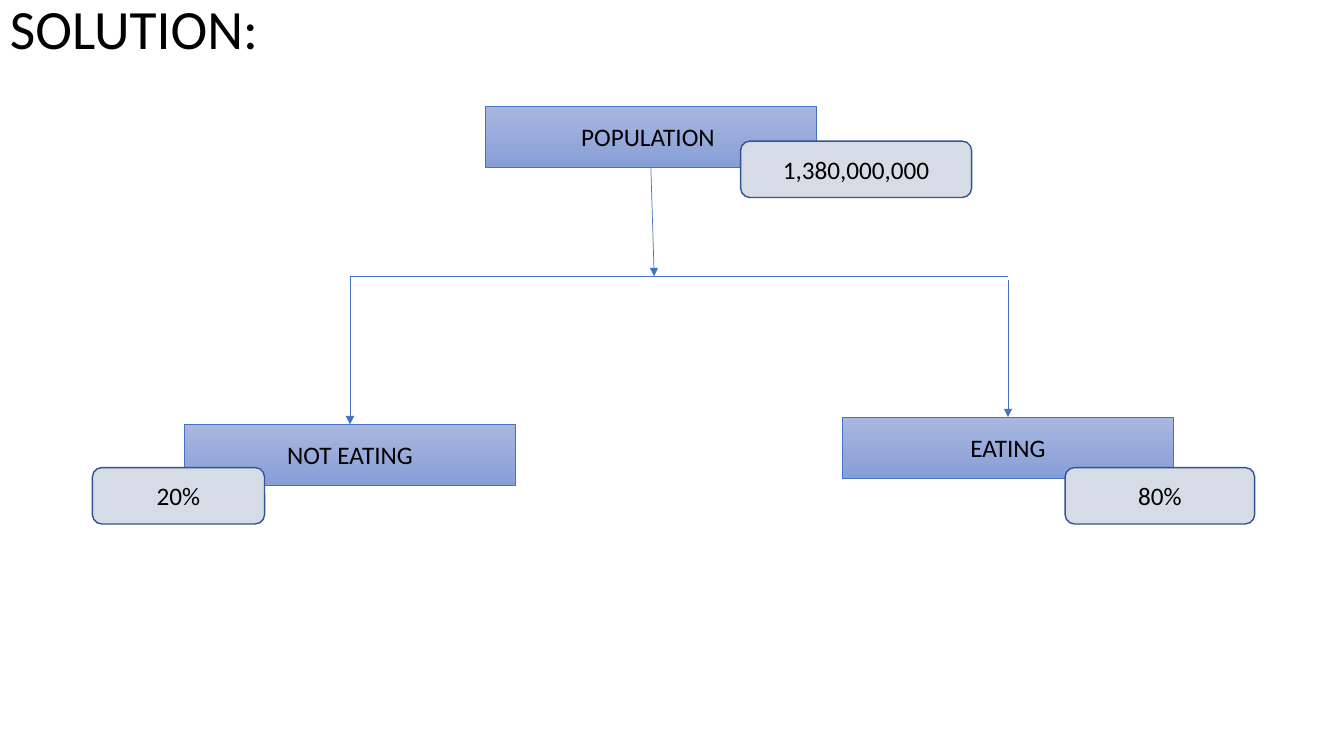
from pptx import Presentation
from pptx.dml.color import RGBColor
from pptx.enum.shapes import MSO_CONNECTOR, MSO_SHAPE
from pptx.enum.text import MSO_ANCHOR as Anchor, PP_ALIGN as Align
from pptx.oxml.ns import qn
from pptx.util import Pt
from lxml.etree import SubElement

BLACK = RGBColor(0x00, 0x00, 0x00)
BLUE = RGBColor(0x44, 0x72, 0xC4)
NAVY = RGBColor(0x32, 0x54, 0x91)
PALE = RGBColor(0xD6, 0xDC, 0xE5)
TOP = RGBColor(0xA8, 0xB7, 0xDF)
BASE = RGBColor(0x88, 0x9E, 0xD7)

NODE_W, NODE_H = 236.9, 43.4
TAG_H = 40.3
BAR_Y = 197.3


def write(shape, text, size, align):
    frame = shape.text_frame
    frame.word_wrap = True
    frame.vertical_anchor = Anchor.MIDDLE
    para = frame.paragraphs[0]
    para.text = text
    para.alignment = align
    font = para.font
    font.name, font.size = "Calibri", Pt(size)
    font.color.rgb = BLACK
    return para


def add_title(slide, text):
    box = slide.shapes.add_textbox(Pt(0), Pt(10), Pt(828), Pt(25.2))
    write(box, text, 39.6, Align.LEFT).line_spacing = 0.9


def add_box(slide, kind, text, x, y, w, h, edge, width):
    box = slide.shapes.add_shape(kind, Pt(x), Pt(y), Pt(w), Pt(h))
    box.shadow.inherit = False
    box.line.color.rgb = edge
    box.line.width = Pt(width)
    write(box, text, 18, Align.CENTER)
    return box


def add_node(slide, text, mid, y):
    """Add a gradient box centred on mid."""
    node = add_box(slide, MSO_SHAPE.RECTANGLE, text, mid - NODE_W / 2, y,
                   NODE_W, NODE_H, BLUE, 0.5)
    node.fill.gradient()
    node.fill.gradient_angle = 270
    for stop, color in zip(node.fill.gradient_stops, (TOP, BASE)):
        stop.color.rgb = color


def add_tag(slide, text, x, y, w):
    tag = add_box(slide, MSO_SHAPE.ROUNDED_RECTANGLE, text, x, y,
                  w, TAG_H, NAVY, 1)
    tag.fill.solid()
    tag.fill.fore_color.rgb = PALE


def add_line(slide, x1, y1, x2, y2, arrow=True):
    line = slide.shapes.add_connector(
        MSO_CONNECTOR.STRAIGHT, Pt(x1), Pt(y1), Pt(x2), Pt(y2))
    line.line.color.rgb = BLUE
    line.line.width = Pt(0.5)
    if arrow:
        SubElement(line.line._get_or_add_ln(), qn("a:tailEnd"), type="triangle")
    SubElement(line._element.spPr, qn("a:effectLst"))


def main():
    deck = Presentation()
    deck.slide_width, deck.slide_height = Pt(960), Pt(540)
    slide = deck.slides.add_slide(deck.slide_layouts[6])

    root, left, right = 464.9, 250, 720
    root_y, left_y, right_y = 76, 303.1, 298

    add_title(slide, "SOLUTION:")
    add_node(slide, "POPULATION ", root, root_y)
    add_node(slide, "EATING", right, right_y)
    add_node(slide, "NOT EATING", left, left_y)

    add_line(slide, left, BAR_Y, left, left_y)
    add_line(slide, right, 200.2, right, right_y)
    add_line(slide, left, BAR_Y, right, BAR_Y, arrow=False)
    add_line(slide, root, root_y + NODE_H, 467.3, BAR_Y)

    add_tag(slide, "1,380,000,000", 529, 100.8, 165)
    add_tag(slide, "20%", 66, 334, 123)
    add_tag(slide, "80%", 760.8, 334, 135.4)
    deck.save("out.pptx")


if __name__ == "__main__":
    main()
